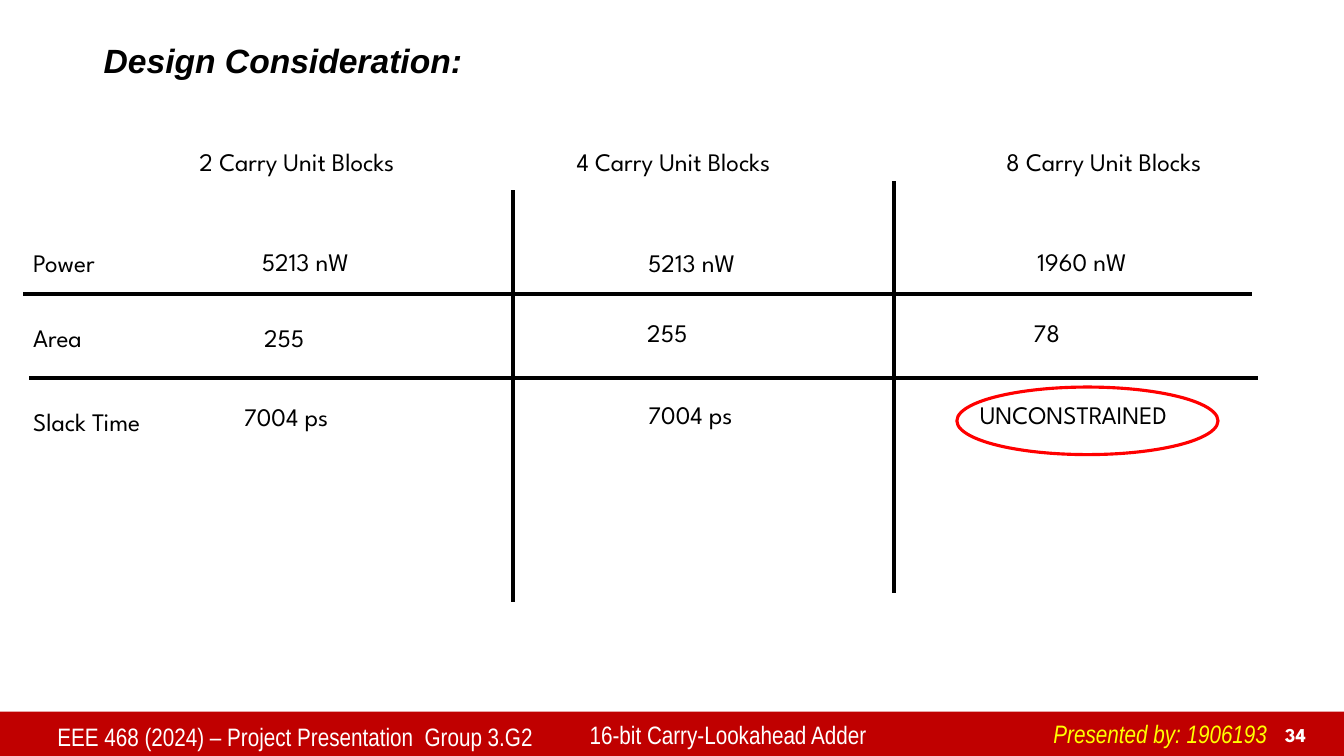
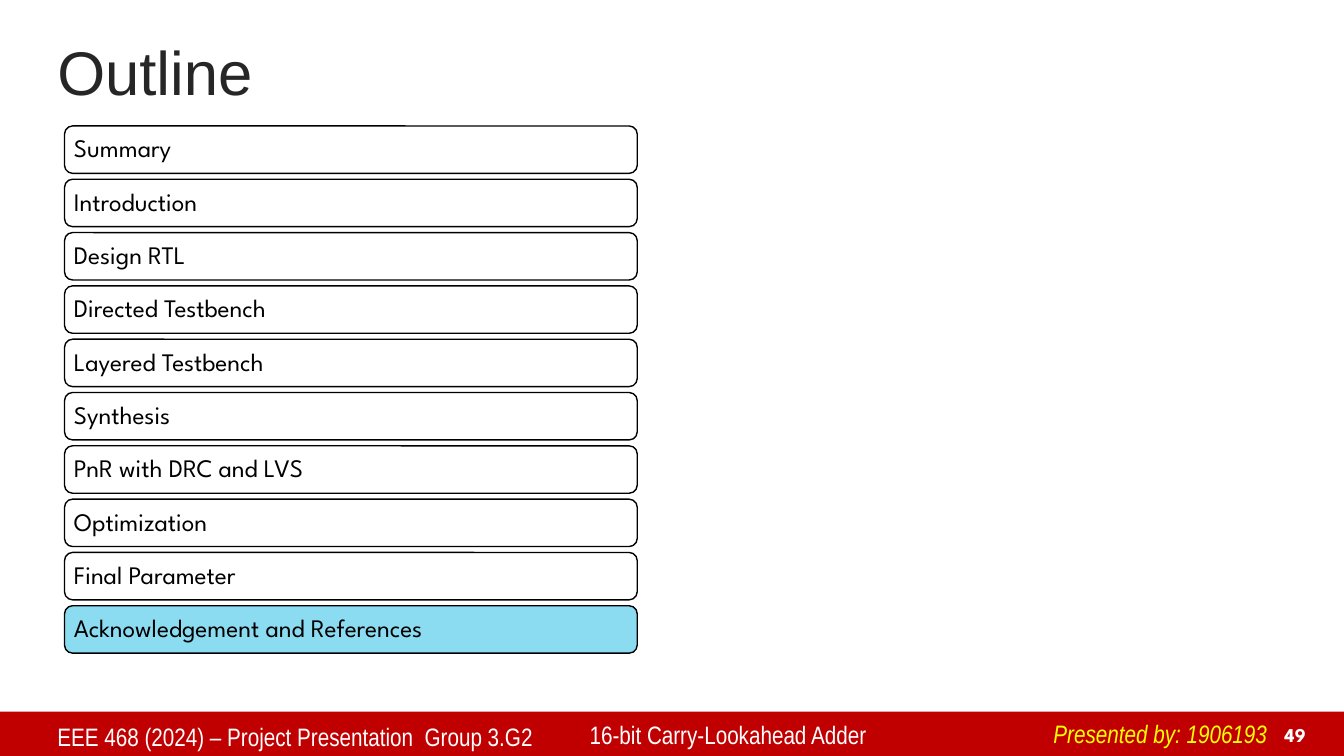
from lxml.etree import SubElement
from pptx import Presentation
from pptx.dml.color import RGBColor
from pptx.enum.shapes import MSO_CONNECTOR, MSO_SHAPE
from pptx.enum.text import MSO_ANCHOR, PP_ALIGN
from pptx.oxml.ns import qn
from pptx.util import Inches, Pt

COLORS = {
    "band": "C00000",
    "white": "FFFFFF",
    "yellow": "FFFF00",
    "black": "000000",
    "title": "262626",
    "current": "8BDBF1",
    "highlight": "FF0000",
}

# Text styles shared by the slides
BODY = {"name": "League Spartan", "size": Pt(18), "color": "black"}
FOOTER = {"name": "Arial Narrow", "size": Pt(18), "color": "white"}
PRESENTER = {**FOOTER, "color": "yellow", "italic": True}
NUMBER = {"name": "League Spartan", "size": Pt(14), "color": "white", "bold": True}
TITLE = {"name": "Arial", "size": Pt(44), "color": "title"}
HEADING = {"name": "Arial", "size": Pt(24), "color": "black",
           "bold": True, "italic": True}


def rgb(key):
    return RGBColor.from_string(COLORS[key])


def write(shape, text, style, align=PP_ALIGN.LEFT, anchor=MSO_ANCHOR.TOP, spacing=1.0):
    """Put one styled paragraph into a shape."""
    frame = shape.text_frame
    frame.word_wrap = True
    frame.vertical_anchor = anchor
    paragraph = frame.paragraphs[0]
    paragraph.alignment = align
    paragraph.line_spacing = spacing
    run = paragraph.add_run()
    run.text = text
    for attribute, value in style.items():
        if attribute == "color":
            run.font.color.rgb = rgb(value)
        else:
            setattr(run.font, attribute, value)


def add_text(slide, box, text, style, **layout):
    label = slide.shapes.add_textbox(*map(Inches, box))
    write(label, text, style, **layout)


def add_box(slide, kind, box, fill=None, line=None, weight=1):
    shape = slide.shapes.add_shape(kind, *map(Inches, box))
    shape.shadow.inherit = False
    if fill:
        shape.fill.solid()
        shape.fill.fore_color.rgb = rgb(fill)
    else:
        shape.fill.background()
    if line:
        shape.line.color.rgb = rgb(line)
        shape.line.width = Pt(weight)
    else:
        shape.line.fill.background()
    return shape


def add_rule(slide, x, y, width=0, height=0):
    rule = slide.shapes.add_connector(
        MSO_CONNECTOR.STRAIGHT, *map(Inches, (x, y, x + width, y + height)))
    rule.line.color.rgb = rgb("black")
    rule.line.width = Pt(3)
    SubElement(rule._element.spPr, qn("a:effectLst"))


def add_footer(slide, number, top=7.06):
    """Red band with course, topic, presenter and slide number."""
    add_box(slide, MSO_SHAPE.RECTANGLE, (0, top, 13.33, 0.44), fill="band")
    for left, drop, width, text, style in (
        (0.47, 0.05, 5.28, "EEE 468 (2024) – Project Presentation  Group 3.G2", FOOTER),
        (5.75, 0.03, 4.24, "16-bit Carry-Lookahead Adder", FOOTER),
        (10.35, 0.02, 2.4, "Presented by: 1906193", PRESENTER),
    ):
        add_text(slide, (left, top + drop, width, 0.39), text, style)
    add_text(slide, (12.48, top + 0.05, 0.57, 0.34), number, NUMBER,
             align=PP_ALIGN.RIGHT, anchor=MSO_ANCHOR.BOTTOM)


def add_comparison(slide, left, top):
    """Results for each block count, ruled into columns and rows."""
    # Column headings
    for x, blocks in ((1.65, 2), (5.39, 4), (9.65, 8)):
        add_text(slide, (left + x, top, 3.07, 0.4), f"{blocks} Carry Unit Blocks", BODY)

    # Measures: label, drop, then (x, drop, value) for each column
    measures = (
        ("Power", 1.0, ((2.27, 0.99, "5213 nW"), (6.1, 1.0, "5213 nW"),
                        (9.96, 0.99, "1960 nW"))),
        ("Area", 1.75, ((2.29, 1.75, "255"), (6.09, 1.7, "255"), (9.92, 1.7, "78"))),
        ("Slack Time", 2.58, ((2.09, 2.53, "7004 ps"), (6.1, 2.51, "7004 ps"),
                              (9.39, 2.51, "UNCONSTRAINED"))),
    )
    for measure, label_drop, values in measures:
        add_text(slide, (left, top + label_drop, 1.65, 0.4), measure, BODY)
        for x, drop, value in values:
            add_text(slide, (left + x, top + drop, 2.29, 0.4), value, BODY)

    # Rules between columns and rows
    for x, y in ((4.86, 0.49), (8.64, 0.4)):
        add_rule(slide, left + x, top + y, height=4.08)
    for x, y in ((0, 1.52), (0.06, 2.35)):
        add_rule(slide, left + x, top + y, width=12.19)

    # Ring around the unconstrained result
    add_box(slide, MSO_SHAPE.OVAL, (left + 9.26, top + 2.44, 2.59, 0.67),
            line="highlight", weight=2.25)


def add_outline(slide, left, top, width, height, topics, current):
    """Evenly stacked topic bars, with the current one filled."""
    bar_height = 0.47
    pitch = (height - bar_height) / (len(topics) - 1)
    for index, topic in enumerate(topics):
        bar = add_box(slide, MSO_SHAPE.ROUNDED_RECTANGLE,
                      (left, top + index * pitch, width, bar_height),
                      fill="current" if topic == current else "white", line="black")
        bar.adjustments[0] = 0.17
        # Rounded corners add a little to the left inset
        bar.text_frame.margin_left = Inches(0.07)
        write(bar, topic, BODY, anchor=MSO_ANCHOR.MIDDLE, spacing=0.9)


def build_consideration(slide):
    add_text(slide, (0.93, 0.35, 11.5, 0.6), "Design Consideration:", HEADING)
    add_comparison(slide, 0.23, 1.4)
    add_footer(slide, "34")


def build_outline(slide):
    add_text(slide, (0.47, 0.35, 11, 0.8), "Outline", TITLE,
             anchor=MSO_ANCHOR.MIDDLE, spacing=0.9)
    topics = ("Summary", "Introduction", "Design RTL", "Directed Testbench",
              "Layered Testbench", "Synthesis", "PnR with DRC and LVS",
              "Optimization", "Final Parameter", "Acknowledgement and References")
    add_outline(slide, 0.64, 1.25, 5.68, 5.23, topics, current=topics[-1])
    add_footer(slide, "49")


def main():
    deck = Presentation()
    deck.slide_width = Inches(13.33)
    deck.slide_height = Inches(7.5)
    for build in (build_consideration, build_outline):
        build(deck.slides.add_slide(deck.slide_layouts[6]))
    deck.save("out.pptx")


if __name__ == "__main__":
    main()
